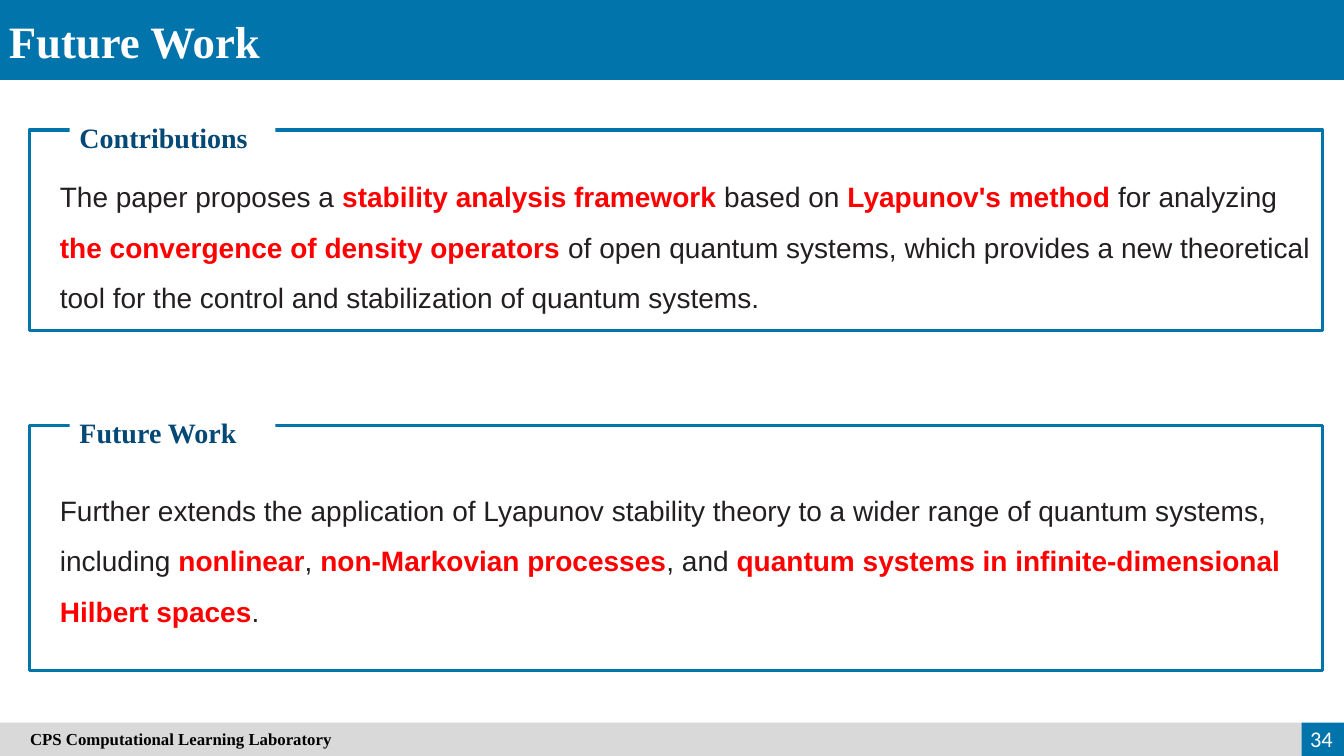
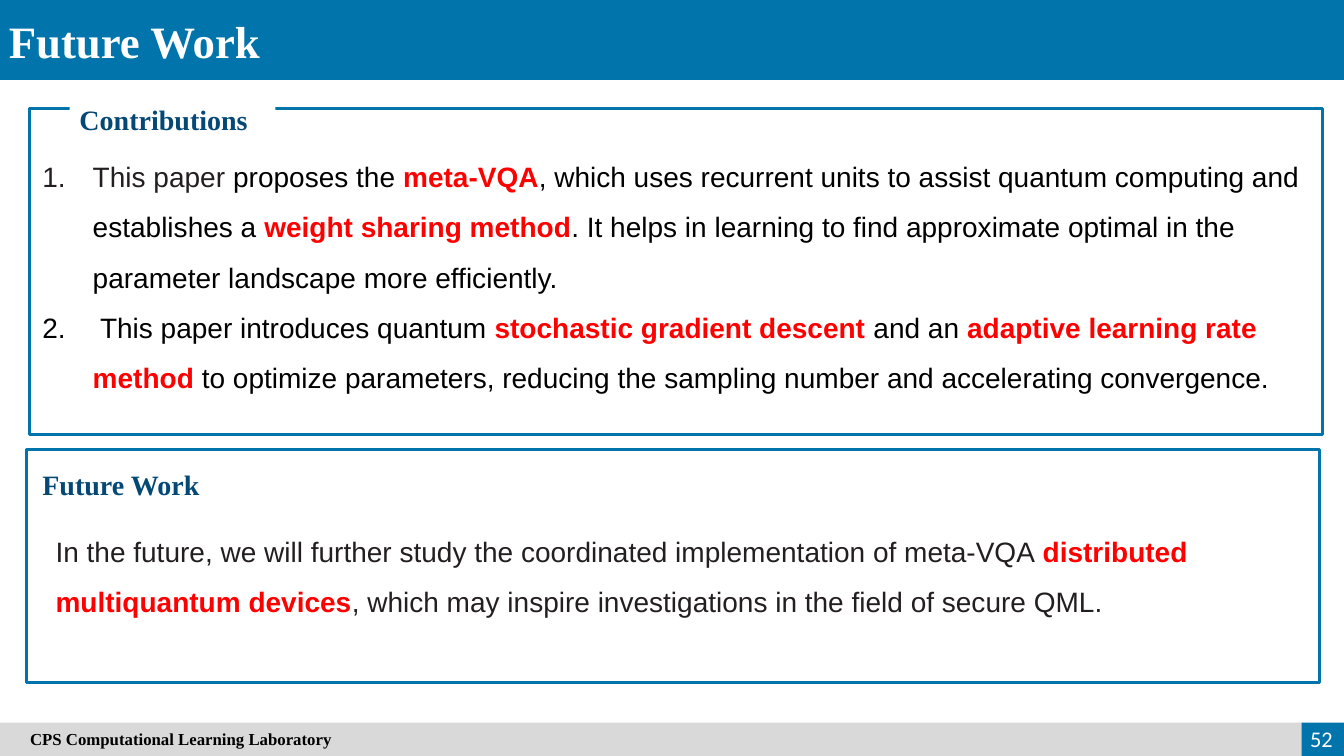
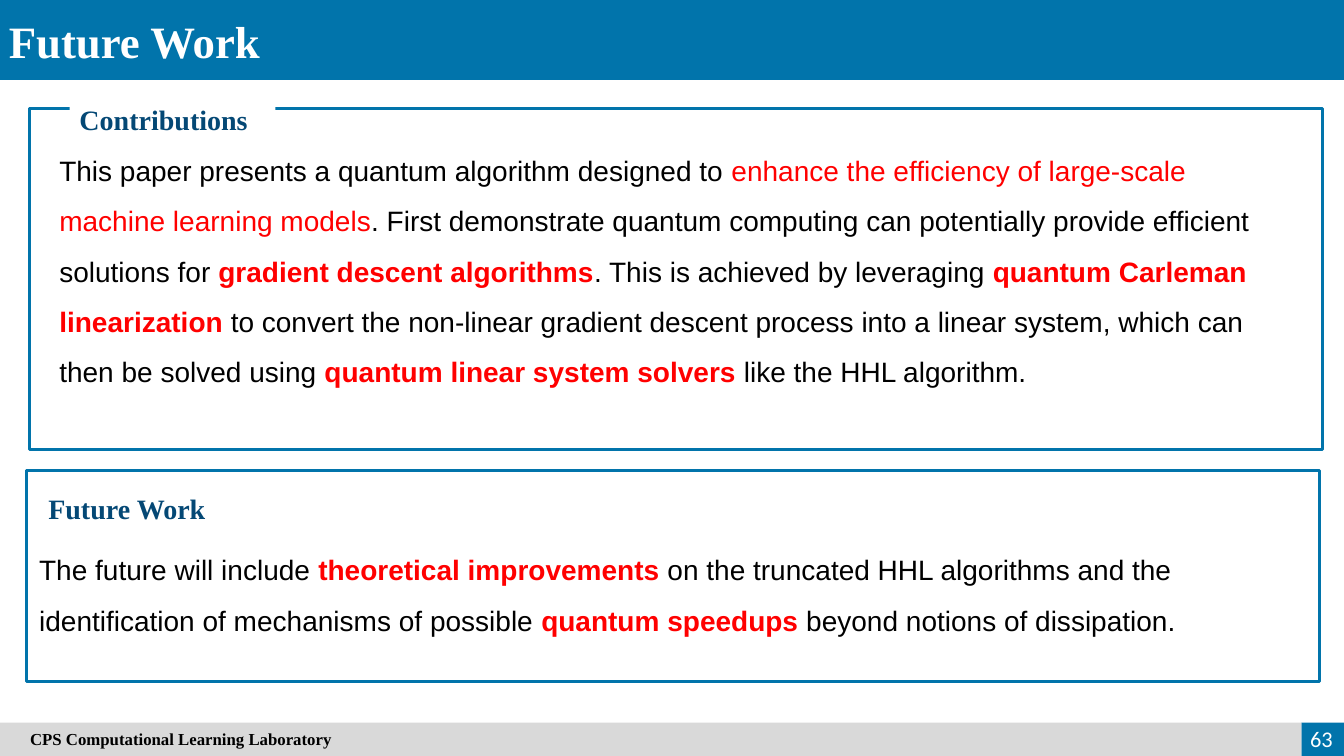
from pptx import Presentation
from pptx.dml.color import RGBColor
from pptx.enum.shapes import MSO_SHAPE
from pptx.enum.text import MSO_ANCHOR, PP_ALIGN
from pptx.oxml.ns import qn
from pptx.util import Pt
from lxml.etree import SubElement

BLUE = RGBColor(0x01, 0x74, 0xAB)
NAVY = RGBColor(0x04, 0x48, 0x75)
INK = RGBColor(0x23, 0x1F, 0x20)
BLACK = RGBColor(0, 0, 0)
RED = RGBColor(0xFF, 0, 0)
WHITE = RGBColor(0xFF, 0xFF, 0xFF)
GRAY = RGBColor(0xD9, 0xD9, 0xD9)

SERIF = "Times New Roman"
SANS = "Arial"
NUMBER_FONT = "Calibri"

SLIDE_WIDTH, SLIDE_HEIGHT = 960, 540
TITLE_HEIGHT = 57
FOOTER_TOP = 516.2
NUMBER_LEFT = 929.5
FRAME_WIDTH = 923.8
HEADING_WIDTH = 147
TALL_HEADING, SHORT_HEADING = 40.3, 21.6

DARK = (INK, False)
PLAIN = (BLACK, False)
LIGHT_RED = (RED, False)
STRONG = (RED, True)


def add_rectangle(slide, left, top, width, height, fill=None, line=None):
    shape = slide.shapes.add_shape(
        MSO_SHAPE.RECTANGLE, Pt(left), Pt(top), Pt(width), Pt(height))
    shape.shadow.inherit = False
    if fill is None:
        shape.fill.background()
    else:
        shape.fill.solid()
        shape.fill.fore_color.rgb = fill
    if line is None:
        shape.line.fill.background()
    else:
        shape.line.color.rgb = line
        shape.line.width = Pt(2.25)
    return shape


def add_text_box(slide, left, top, width, height):
    box = slide.shapes.add_textbox(Pt(left), Pt(top), Pt(width), Pt(height))
    box.text_frame.word_wrap = True
    return box


def set_label(shape, text, size, color, name=SERIF, bold=True,
              align=PP_ALIGN.LEFT, spacing=None):
    shape.text_frame.vertical_anchor = MSO_ANCHOR.MIDDLE
    paragraph = shape.text_frame.paragraphs[0]
    paragraph.text = text
    paragraph.alignment = align
    paragraph.line_spacing = spacing
    font = paragraph.font
    font.name, font.size, font.bold = name, Pt(size), bold
    font.color.rgb = color


def set_numbering(paragraph):
    properties = paragraph._p.get_or_add_pPr()
    properties.set("marL", str(Pt(36)))
    properties.set("indent", str(-Pt(36)))
    SubElement(properties, qn("a:buFont"), typeface=SANS)
    SubElement(properties, qn("a:buAutoNum"), type="arabicPeriod")


def add_body(slide, left, top, width, height, paragraphs, numbered=False):
    text_frame = add_text_box(slide, left, top, width, height).text_frame
    for index, runs in enumerate(paragraphs):
        paragraph = text_frame.add_paragraph() if index else text_frame.paragraphs[0]
        if numbered:
            set_numbering(paragraph)
        paragraph.line_spacing = 1.5
        paragraph.font.name = SANS
        paragraph.font.size = Pt(20)
        for text, (color, bold) in runs:
            run = paragraph.add_run()
            run.text = text
            run.font.color.rgb = color
            run.font.bold = bold


def add_section(slide, frame, heading, heading_place):
    left, top, height = frame
    add_rectangle(slide, left, top, FRAME_WIDTH, height, line=BLUE)
    heading_left, heading_top, heading_height = heading_place
    tab = add_rectangle(slide, heading_left, heading_top, HEADING_WIDTH,
                        heading_height, fill=WHITE)
    set_label(tab, heading, 20, NAVY, spacing=1.5)


def add_base_slide(presentation, number):
    slide = presentation.slides.add_slide(presentation.slide_layouts[6])
    add_rectangle(slide, 0, 0, SLIDE_WIDTH, TITLE_HEIGHT, fill=BLUE)
    title = add_text_box(slide, -0.8, 6, 387, 46)
    set_label(title, "Future Work", 32, WHITE)
    add_rectangle(slide, NUMBER_LEFT, FOOTER_TOP, SLIDE_WIDTH - NUMBER_LEFT,
                  SLIDE_HEIGHT - FOOTER_TOP, fill=BLUE)
    footer = add_rectangle(slide, 0, FOOTER_TOP, NUMBER_LEFT,
                           SLIDE_HEIGHT - FOOTER_TOP, fill=GRAY)
    footer.text_frame.margin_left = Pt(21.5)
    set_label(footer, "CPS Computational Learning Laboratory", 12, BLACK)
    page = add_text_box(slide, 913.6, 513.4, 45.4, 28.8)
    set_label(page, str(number), 16, WHITE, NUMBER_FONT, False, PP_ALIGN.RIGHT)
    return slide


def build_stability_slide(presentation):
    slide = add_base_slide(presentation, 34)
    add_section(slide, (20.9, 92.9, 143.3), "Contributions", (49.7, 72, TALL_HEADING))
    add_body(slide, 35.7, 113, 910, 112, [[
        ("The paper proposes a ", DARK),
        ("stability analysis framework ", STRONG),
        ("based on ", DARK),
        ("Lyapunov's method ", STRONG),
        ("for analyzing ", DARK),
        ("the convergence of density operators ", STRONG),
        ("of open quantum systems, which provides a new theoretical tool "
         "for the control and stabilization of quantum systems.", DARK),
    ]])
    add_section(slide, (20.9, 303.8, 175), "Future Work", (49.7, 283, TALL_HEADING))
    add_body(slide, 35.7, 337, 909.5, 112, [[
        ("Further extends the application of Lyapunov stability theory to a "
         "wider range of quantum systems, including ", DARK),
        ("nonlinear", STRONG),
        (", ", DARK),
        ("non-Markovian processes", STRONG),
        (", and ", DARK),
        ("quantum systems in infinite-dimensional Hilbert spaces", STRONG),
        (".", DARK),
    ]])


def build_meta_learning_slide(presentation):
    slide = add_base_slide(presentation, 52)
    add_section(slide, (20.9, 77.3, 232.8), "Contributions", (49.7, 59, TALL_HEADING))
    add_body(slide, 23.2, 98.3, 923.8, 184, [
        [
            ("This paper ", DARK),
            ("proposes the ", PLAIN),
            ("meta-VQA", STRONG),
            (", which uses recurrent units to assist quantum computing and "
             "establishes a ", PLAIN),
            ("weight sharing method", STRONG),
            (". It helps in learning to find approximate optimal in the "
             "parameter landscape more efficiently.", PLAIN),
        ],
        [
            (" This paper introduces quantum ", PLAIN),
            ("stochastic gradient descent ", STRONG),
            ("and an ", PLAIN),
            ("adaptive learning rate method", STRONG),
            (" to optimize parameters, reducing the sampling number and "
             "accelerating convergence.", PLAIN),
        ],
    ], numbered=True)
    add_section(slide, (18.9, 321, 166.3), "Future Work", (23.2, 329, SHORT_HEADING))
    add_body(slide, 32.6, 366.3, 913, 75.6, [[
        ("In the future, we will further study the coordinated implementation "
         "of meta-VQA ", DARK),
        ("distributed multiquantum devices", STRONG),
        (", which may inspire investigations in the field of secure QML.", DARK),
    ]])


def build_linearization_slide(presentation):
    slide = add_base_slide(presentation, 63)
    add_section(slide, (20.9, 77.3, 243.8), "Contributions", (49.7, 59, TALL_HEADING))
    add_body(slide, 35.3, 94, 894, 184, [[
        ("This paper presents a quantum algorithm designed to ", PLAIN),
        ("enhance the efficiency of large-scale machine learning models", LIGHT_RED),
        (". First demonstrate quantum computing can potentially provide "
         "efficient solutions for ", PLAIN),
        ("gradient descent algorithms", STRONG),
        (". This is achieved by leveraging ", PLAIN),
        ("quantum Carleman linearization ", STRONG),
        ("to convert the non-linear gradient descent process into a linear "
         "system, which can then be solved using ", PLAIN),
        ("quantum linear system solvers ", STRONG),
        ("like the HHL algorithm.", PLAIN),
    ]])
    add_section(slide, (18.9, 336.2, 150.8), "Future Work", (27.4, 346.3, SHORT_HEADING))
    add_body(slide, 20.9, 379.3, 923.8, 75.6, [
        [
            ("The future will include ", PLAIN),
            ("theoretical improvements ", STRONG),
            ("on the truncated HHL algorithms and the", PLAIN),
        ],
        [
            ("identification of mechanisms of possible ", PLAIN),
            ("quantum speedups", STRONG),
            (" beyond notions of dissipation.", PLAIN),
        ],
    ])


def main():
    presentation = Presentation()
    presentation.slide_width = Pt(SLIDE_WIDTH)
    presentation.slide_height = Pt(SLIDE_HEIGHT)
    build_stability_slide(presentation)
    build_meta_learning_slide(presentation)
    build_linearization_slide(presentation)
    presentation.save("out.pptx")


if __name__ == "__main__":
    main()
